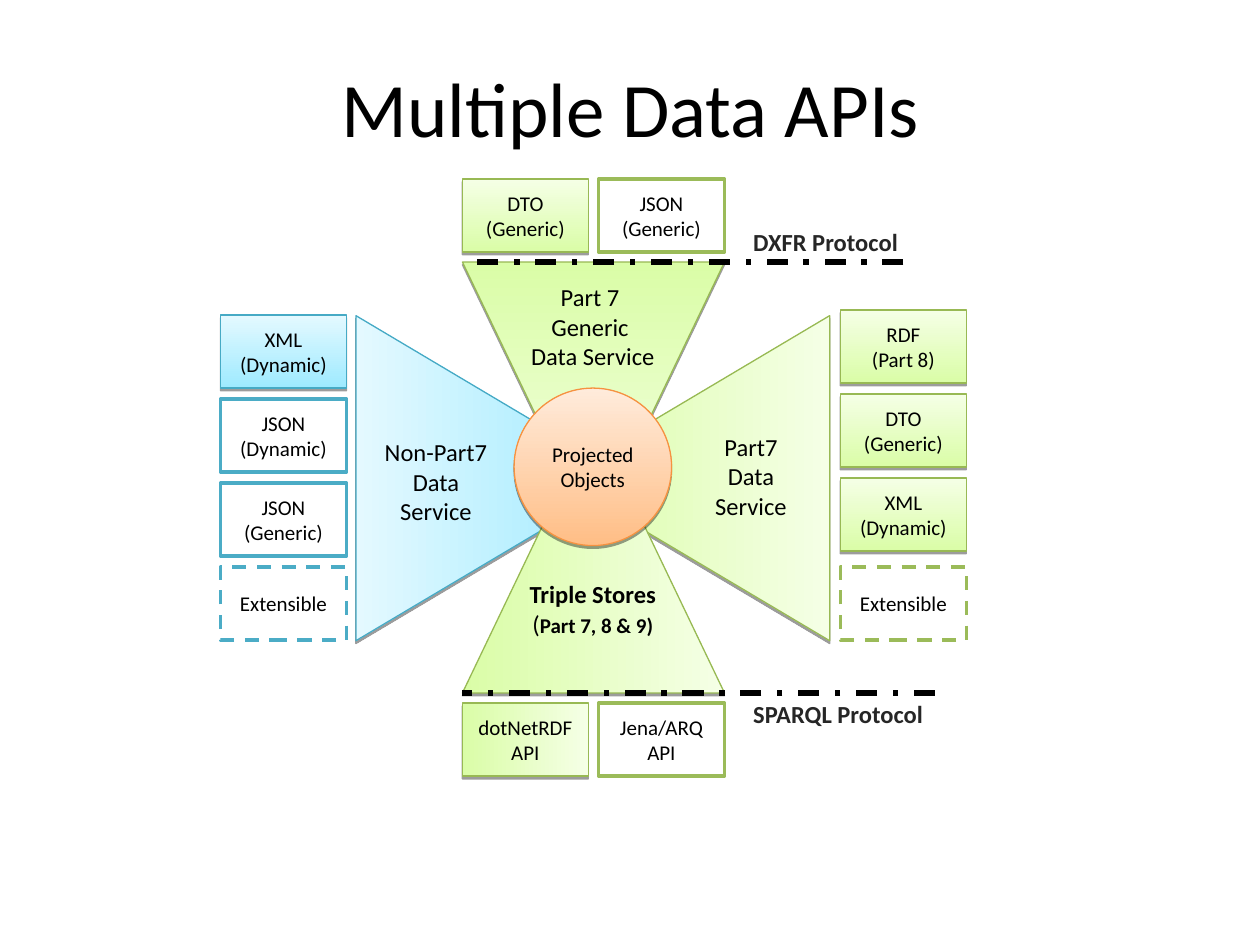
from lxml.etree import SubElement as Sub
from pptx import Presentation
from pptx.dml.color import RGBColor as RGB
from pptx.enum.dml import MSO_LINE as DASH
from pptx.enum.shapes import MSO_CONNECTOR as CONN, MSO_SHAPE as SHAPE
from pptx.enum.text import MSO_ANCHOR as ANCHOR, PP_ALIGN as ALIGN
from pptx.oxml.ns import qn
from pptx.util import Inches, Pt

HUES = {
    "green": ("DAFDA7", "F5FFE6", "98B954"),
    "blue": ("9EEAFF", "E4F9FF", "46AAC5"),
    "orange": ("FFBE86", "FFEBDB", "F69240"),
}
INK = {"black": "000000", "gray": "262626", "white": "FFFFFF",
       "green": "9BBB59", "blue": "4BACC6"}

deck = Presentation()
deck.slide_width, deck.slide_height = Inches(10), Inches(7.5)
slide = deck.slides.add_slide(deck.slide_layouts[5])
shapes = slide.shapes


def write(shape, words, size, bold=False, ink="black", align=ALIGN.CENTER):
    frame = shape.text_frame
    frame.text = words
    for para in frame.paragraphs:
        para.alignment = align
        for run in para.runs:
            font = run.font
            font.name, font.size, font.bold = "Calibri", Pt(size), bold
            font.color.rgb = RGB.from_string(INK[ink])


def block(kind, box, hue, angle=None, words="", dash=None):
    shape = shapes.add_shape(kind, *[Inches(n) for n in box])
    shape.shadow.inherit = False
    if angle is None:
        shape.fill.background()
        shape.line.color.rgb = RGB.from_string(INK[hue])
        shape.line.width = Pt(2)
        if dash:
            shape.line.dash_style = dash
    else:
        dark, light, edge = HUES[hue]
        shape.fill.gradient()
        shape.fill.gradient_angle = angle
        for stop, tint in zip(shape.fill.gradient_stops, (dark, light)):
            stop.color.rgb = RGB.from_string(tint)
        shape.line.color.rgb = RGB.from_string(edge)
        shape.line.width = Pt(0.75)
        effects = shape.element.spPr.find(qn("a:effectLst"))
        shadow = Sub(effects, qn("a:outerShdw"), dist=str(Pt(1.6)),
                     dir="5400000", rotWithShape="0")
        color = Sub(shadow, qn("a:srgbClr"), val=INK["black"])
        Sub(color, qn("a:alpha"), val="38000")
    if words:
        shape.text_frame.word_wrap = True
        shape.text_frame.vertical_anchor = ANCHOR.MIDDLE
        write(shape, words, 12)
    return shape


title = shapes.title
title.left, title.top = Inches(0.17), Inches(0.43)
title.width, title.height = Inches(9.67), Inches(0.84)
title.text_frame.vertical_anchor = ANCHOR.TOP
write(title, "Multiple Data APIs", 44)

for box, turn, hue, angle in [
    ((4.21, 2.71, 2.58, 2.17), 270, "green", 270),
    ((2.62, 2.71, 2.58, 2.17), 90, "blue", 270),
    ((3.67, 3.33, 2.08, 2.17), 0, "green", 0),
    ((3.67, 2.08, 2.08, 2.17), 180, "green", 90),
]:
    block(SHAPE.ISOSCELES_TRIANGLE, box, hue, angle).rotation = turn

for box, words, bold in [
    ((2.92, 3.42, 1.08, 0.8), "Non-Part7\vData Service", False),
    ((5.42, 3.38, 1.08, 0.8), "Part7\vData Service", False),
    ((4.08, 2.19, 1.25, 0.8), "Part 7 \vGeneric \vData Service", False),
    ((4.08, 4.55, 1.25, 0.57), "Triple Stores", True),
]:
    label = shapes.add_textbox(*[Inches(n) for n in box])
    label.text_frame.word_wrap = True
    write(label, words, 14, bold)

parts = label.text_frame.add_paragraph()
parts.alignment = ALIGN.CENTER
for words, size, bold in [("(", 14, False), ("Part 7, 8 & 9)", 12, True)]:
    run = parts.add_run()
    run.text = words
    run.font.name, run.font.size, run.font.bold = "Calibri", Pt(size), bold
    run.font.color.rgb = RGB.from_string(INK["black"])

block(SHAPE.OVAL, (4.08, 3.08, 1.25, 1.25), "orange", 90, "Projected Objects")

WIDE, HIGH, STEP = 1, 0.58, 2 / 3
for x, top, hue, angle, names in [
    (1.75, 2.5, "blue", 90, ["XML\n(Dynamic)"]),
    (1.75, 2.5 + STEP, "blue", None, ["JSON\v(Dynamic)", "JSON\n(Generic)"]),
    (6.67, 2.46, "green", 90,
     ["RDF\n(Part 8)", "DTO\v(Generic)", "XML\v(Dynamic)"]),
    (3.67, 1.42, "green", 90, ["DTO\v(Generic)"]),
    (4.75, 1.42, "green", None, ["JSON\n(Generic)"]),
    (3.67, 5.58, "green", 0, ["dotNetRDF API"]),
    (4.75, 5.58, "green", None, ["Jena/ARQ\vAPI"]),
]:
    for i, name in enumerate(names):
        block(SHAPE.RECTANGLE, (x, top + i * STEP, WIDE, HIGH), hue, angle, name)

for x, hue in [(1.75, "blue"), (6.67, "green")]:
    spare = block(SHAPE.RECTANGLE, (x, 4.5, WIDE, HIGH), hue, None,
                  "Extensible", DASH.DASH)
spare.fill.solid()
spare.fill.fore_color.rgb = RGB.from_string(INK["white"])

for words, top, wide, end, y in [
    ("DXFR Protocol", 1.75, 1.36, 7.17, 2.08),
    ("SPARQL Protocol", 5.5, 1.57, 7.42, 5.5),
]:
    label = shapes.add_textbox(Inches(5.88), Inches(top), Inches(wide), Inches(0.34))
    label.text_frame.word_wrap = False
    write(label, words, 14, True, "gray", ALIGN.LEFT)
    line = shapes.add_connector(CONN.STRAIGHT, Inches(end), Inches(y),
                                Inches(3.67), Inches(y))
    line.line.color.rgb = RGB.from_string(INK["black"])
    line.line.width = Pt(3)
    line.line.dash_style = DASH.DASH_DOT
    Sub(line.element.spPr, qn("a:effectLst"))

deck.save("out.pptx")
